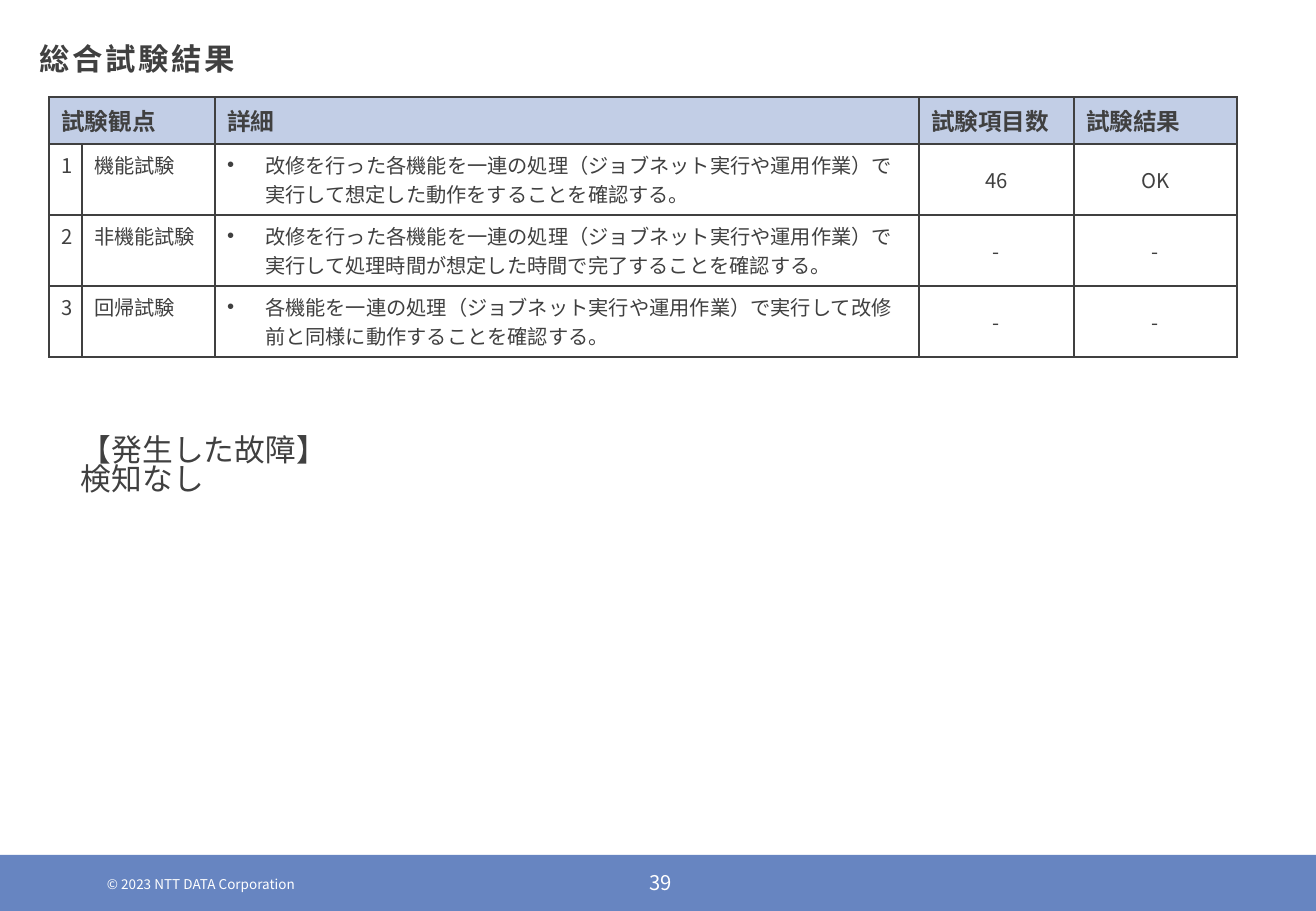
from lxml import etree
from pptx import Presentation
from pptx import util as u
from pptx.dml.color import RGBColor
from pptx.enum import shapes, text
from pptx.oxml import ns

PX = 7526
FONT = "Noto Sans CJK JP"
INK = RGBColor(0x40, 0x40, 0x40)
WHITE = RGBColor(0xFF, 0xFF, 0xFF)
BAND = RGBColor(0x67, 0x85, 0xC1)
HEADER = RGBColor(0xC2, 0xCE, 0xE6)

COLUMNS = [33, 133, 704, 155, 163]
HEADER_HEIGHT, ROW_HEIGHT = 47, 71
DETAIL_COLUMN = 2
RESULTS = [
    ["試験観点", "", "詳細", "試験項目数", "試験結果"],
    ["1", "機能試験",
     "改修を行った各機能を一連の処理（ジョブネット実行や運用作業）で実行して想定した動作をすることを確認する。",
     "46", "OK"],
    ["2", "非機能試験",
     "改修を行った各機能を一連の処理（ジョブネット実行や運用作業）で実行して処理時間が想定した時間で完了することを確認する。",
     "-", "-"],
    ["3", "回帰試験",
     "各機能を一連の処理（ジョブネット実行や運用作業）で実行して改修前と同様に動作することを確認する。",
     "-", "-"],
]


def px(*lengths):
    return [u.Emu(length * PX) for length in lengths]


def style(paragraph, size, color=INK, bold=False, align=text.PP_ALIGN.LEFT):
    paragraph.alignment = align
    font = paragraph.font
    font.size, font.bold, font.name = u.Pt(size), bold, FONT
    font.color.rgb = color
    latin = font._element.find(ns.qn("a:latin"))
    east_asian = etree.Element(ns.qn("a:ea"), typeface=FONT)
    latin.addnext(east_asian)


def add_bullet(paragraph, indent):
    properties = paragraph._p.get_or_add_pPr()
    properties.set("marL", str(indent * PX))
    properties.set("indent", str(-indent * PX))
    etree.SubElement(properties, ns.qn("a:buFont"), typeface="Arial")
    etree.SubElement(properties, ns.qn("a:buChar"), char="•")


def add_borders(cell):
    properties = cell._tc.get_or_add_tcPr()
    for edge in ("lnL", "lnR", "lnT", "lnB"):
        line = etree.SubElement(properties, ns.qn(f"a:{edge}"), w=str(u.Pt(1)))
        fill = etree.SubElement(line, ns.qn("a:solidFill"))
        etree.SubElement(fill, ns.qn("a:srgbClr"), val=str(INK))


def add_text(slide, box, lines, size, color=INK, spacing=1.0, inset=6,
             anchor=text.MSO_ANCHOR.TOP, align=text.PP_ALIGN.LEFT):
    frame = slide.shapes.add_textbox(*px(*box)).text_frame
    frame.word_wrap = True
    frame.vertical_anchor = anchor
    frame.margin_top = frame.margin_bottom = inset * PX
    frame.text = "\n".join(lines)
    for paragraph in frame.paragraphs:
        paragraph.line_spacing = spacing
        style(paragraph, size, color, align=align)


def add_footer(slide, left, top, width, height):
    band = slide.shapes.add_shape(shapes.MSO_SHAPE.RECTANGLE, *px(left, top, width, height))
    band.shadow.inherit = False
    band.fill.solid()
    band.fill.fore_color.rgb = BAND
    band.line.fill.background()
    middle = text.MSO_ANCHOR.MIDDLE
    add_text(slide, (left + 95, top + 21, 418, 16), ["© 2023 NTT DATA Corporation"],
             8, WHITE, inset=0, anchor=middle)
    add_text(slide, (left + 616, top + 15, 89, 24), ["39"], 12, WHITE, inset=0,
             anchor=middle, align=text.PP_ALIGN.CENTER)


def place_title(slide, left, top, width, height):
    title = slide.shapes.title
    title.left, title.top, title.width, title.height = px(left, top, width, height)
    frame = title.text_frame
    frame.text = "総合試験結果"
    frame.auto_size = text.MSO_AUTO_SIZE.NONE
    frame.vertical_anchor = text.MSO_ANCHOR.TOP
    paragraph = frame.paragraphs[0]
    paragraph.line_spacing = 0.9
    style(paragraph, 18, bold=True)
    paragraph.font._element.set("spc", "160")


def fill_cell(cell, value, is_header, column):
    add_borders(cell)
    cell.text = value
    paragraph = cell.text_frame.paragraphs[0]
    if is_header:
        cell.fill.solid()
        cell.fill.fore_color.rgb = HEADER
        style(paragraph, 14, bold=True)
        return
    cell.fill.background()
    if column == DETAIL_COLUMN:
        add_bullet(paragraph, 38)
    if column > DETAIL_COLUMN:
        cell.vertical_anchor = text.MSO_ANCHOR.MIDDLE
        style(paragraph, 12, align=text.PP_ALIGN.CENTER)
    else:
        style(paragraph, 12)


def add_results_table(slide, left, top):
    heights = [HEADER_HEIGHT] + [ROW_HEIGHT] * (len(RESULTS) - 1)
    box = px(left, top, sum(COLUMNS), sum(heights))
    table = slide.shapes.add_table(len(RESULTS), len(COLUMNS), *box).table
    table.first_row = table.horz_banding = False
    for column, width in zip(table.columns, px(*COLUMNS)):
        column.width = width
    for row, height in zip(table.rows, px(*heights)):
        row.height = height
    table.cell(0, 0).merge(table.cell(0, 1))
    for row, values in enumerate(RESULTS):
        for column, value in enumerate(values):
            cell = table.cell(row, column)
            if not cell.is_spanned:
                fill_cell(cell, value, row == 0, column)


def main():
    presentation = Presentation()
    presentation.slide_width, presentation.slide_height = px(1316, 911)
    slide = presentation.slides.add_slide(presentation.slide_layouts[5])
    add_footer(slide, 0, 855, 1316, 56)
    add_text(slide, (69, 432, 1188, 84), ["【発生した故障】", "検知なし"], 18.2, spacing=0.8)
    place_title(slide, 27, 38, 1211, 118)
    add_results_table(slide, 49, 97)
    presentation.save("out.pptx")


if __name__ == "__main__":
    main()
